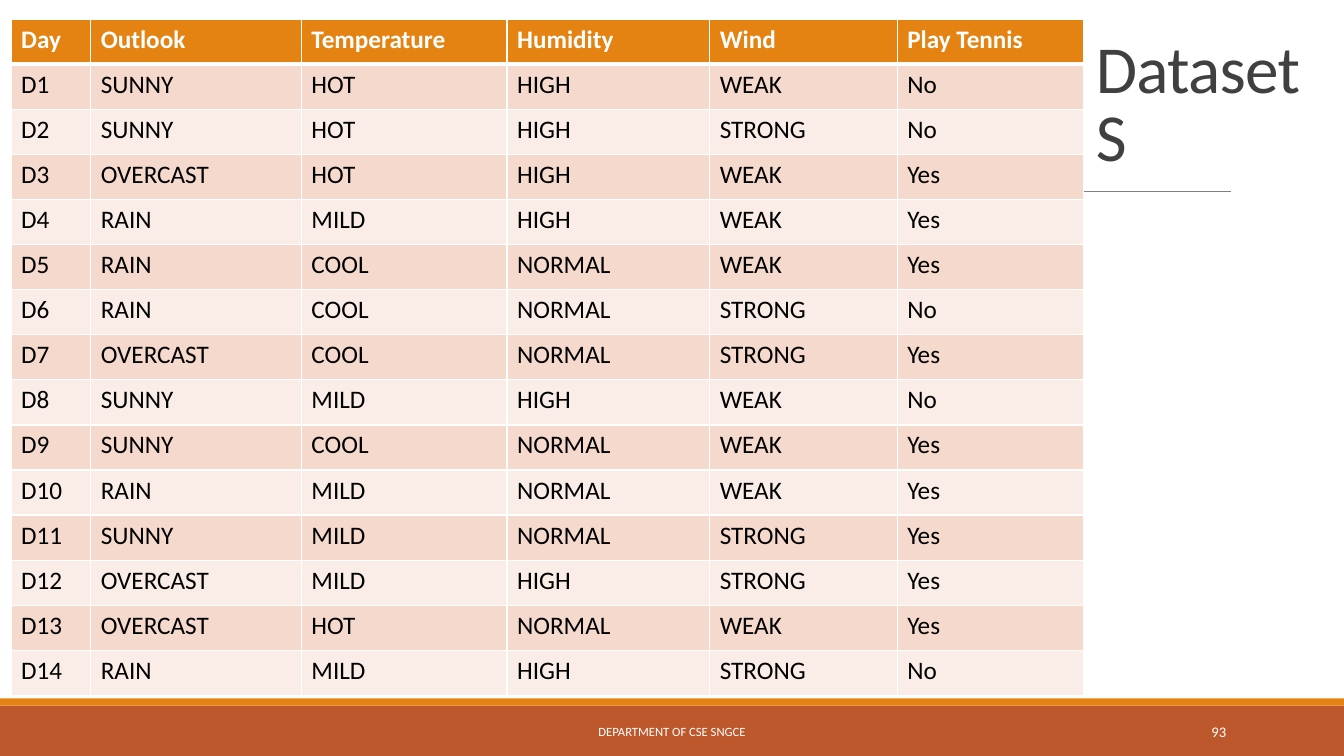
from lxml.etree import SubElement
from pptx import Presentation
from pptx.dml.color import RGBColor
from pptx.enum.shapes import MSO_CONNECTOR, MSO_SHAPE
from pptx.enum.text import MSO_ANCHOR, PP_ALIGN
from pptx.oxml.ns import qn
from pptx.util import Inches, Pt

COLORS = {
    "white": "FFFFFF",
    "black": "000000",
    "title": "404040",
    "rule": "808080",
    "orange": "E48312",
    "rust": "BD582C",
    "band_dark": "F5D9CC",
    "band_light": "FAEDE7",
}
FONT = "Calibri"
COLUMN_WIDTHS = [0.79, 2.09, 2.04, 2.01, 1.86, 1.85]
TABLE_HEIGHT = 6.71
HEADER = ["Day", "Outlook", "Temperature", "Humidity", "Wind", "Play Tennis"]
OBSERVATIONS = [
    "SUNNY HOT HIGH WEAK No",
    "SUNNY HOT HIGH STRONG No",
    "OVERCAST HOT HIGH WEAK Yes",
    "RAIN MILD HIGH WEAK Yes",
    "RAIN COOL NORMAL WEAK Yes",
    "RAIN COOL NORMAL STRONG No",
    "OVERCAST COOL NORMAL STRONG Yes",
    "SUNNY MILD HIGH WEAK No",
    "SUNNY COOL NORMAL WEAK Yes",
    "RAIN MILD NORMAL WEAK Yes",
    "SUNNY MILD NORMAL STRONG Yes",
    "OVERCAST MILD HIGH STRONG Yes",
    "OVERCAST HOT NORMAL WEAK Yes",
    "RAIN MILD HIGH STRONG No",
]


def rgb(name):
    return RGBColor.from_string(COLORS[name])


def write(tf, text, size=18, color="black", bold=False, align=PP_ALIGN.LEFT,
          line_spacing=None, spacing=None):
    p = tf.paragraphs[0]
    p.alignment = align
    p.line_spacing = line_spacing
    r = p.add_run()
    r.text = text
    r.font.name = FONT
    r.font.size = Pt(size)
    r.font.bold = bold
    r.font.color.rgb = rgb(color)
    if spacing is not None:
        r.font._element.set("spc", str(round(spacing * 100)))


def add_text(s, left, top, width, height, text, anchor=MSO_ANCHOR.MIDDLE, **style):
    box = s.shapes.add_textbox(Inches(left), Inches(top), Inches(width), Inches(height))
    tf = box.text_frame
    tf.word_wrap = True
    tf.vertical_anchor = anchor
    write(tf, text, **style)


def add_bar(s, top, height, color):
    sp = s.shapes.add_shape(MSO_SHAPE.RECTANGLE, 0, Inches(top),
                            Inches(13.33), Inches(height))
    sp.shadow.inherit = False
    sp.fill.solid()
    sp.fill.fore_color.rgb = rgb(color)
    sp.line.fill.background()


def add_rule(s, x1, x2, y):
    line = s.shapes.add_connector(MSO_CONNECTOR.STRAIGHT, Inches(x1), Inches(y),
                                  Inches(x2), Inches(y))
    line.line.color.rgb = rgb("rule")
    line.line.width = Pt(0.5)
    SubElement(line._element.spPr, qn("a:effectLst"))


def set_borders(cell, top, bottom):
    tc_pr = cell._tc.get_or_add_tcPr()
    for side, width in {"L": 1, "R": 1, "T": top, "B": bottom}.items():
        ln = SubElement(tc_pr, qn(f"a:ln{side}"), w=str(Pt(width)))
        fill = SubElement(ln, qn("a:solidFill"))
        SubElement(fill, qn("a:srgbClr"), val=COLORS["white"])


def add_weather_table(s, left, top):
    days = [[f"D{n}", *row.split()] for n, row in enumerate(OBSERVATIONS, 1)]
    rows = [HEADER, *days]
    frame = s.shapes.add_table(len(rows), len(HEADER), Inches(left), Inches(top),
                               Inches(sum(COLUMN_WIDTHS)), Inches(TABLE_HEIGHT))
    table = frame.table
    for column, width in zip(table.columns, COLUMN_WIDTHS):
        column.width = Inches(width)
    for i, values in enumerate(rows):
        table.rows[i].height = Inches(TABLE_HEIGHT / len(rows))
        is_header = i == 0
        band = "orange" if is_header else "band_dark" if i % 2 else "band_light"
        for j, value in enumerate(values):
            cell = table.cell(i, j)
            set_borders(cell, top=3 if i == 1 else 1, bottom=3 if is_header else 1)
            cell.fill.solid()
            cell.fill.fore_color.rgb = rgb(band)
            write(cell.text_frame, value, bold=is_header,
                  color="white" if is_header else "black")


def main():
    prs = Presentation()
    prs.slide_width = Inches(13.33)
    prs.slide_height = Inches(7.5)
    s = prs.slides.add_slide(prs.slide_layouts[6])
    add_bar(s, 7, 0.5, "rust")
    add_bar(s, 6.93, 0.07, "orange")
    add_rule(s, 1.31, 12.21, 1.9)
    add_text(s, 10.77, 0.31, 2.46, 1.48, "Dataset S", anchor=MSO_ANCHOR.BOTTOM,
             size=48, color="title", line_spacing=0.85, spacing=-0.5)
    add_weather_table(s, 0.11, 0.19)
    add_text(s, 4.03, 7.06, 5.27, 0.4, "DEPARTMENT OF CSE SNGCE",
             size=9, color="white", align=PP_ALIGN.CENTER)
    add_text(s, 10.83, 7.06, 1.43, 0.4, "93",
             size=10.5, color="white", align=PP_ALIGN.RIGHT)
    prs.save("out.pptx")


if __name__ == "__main__":
    main()
